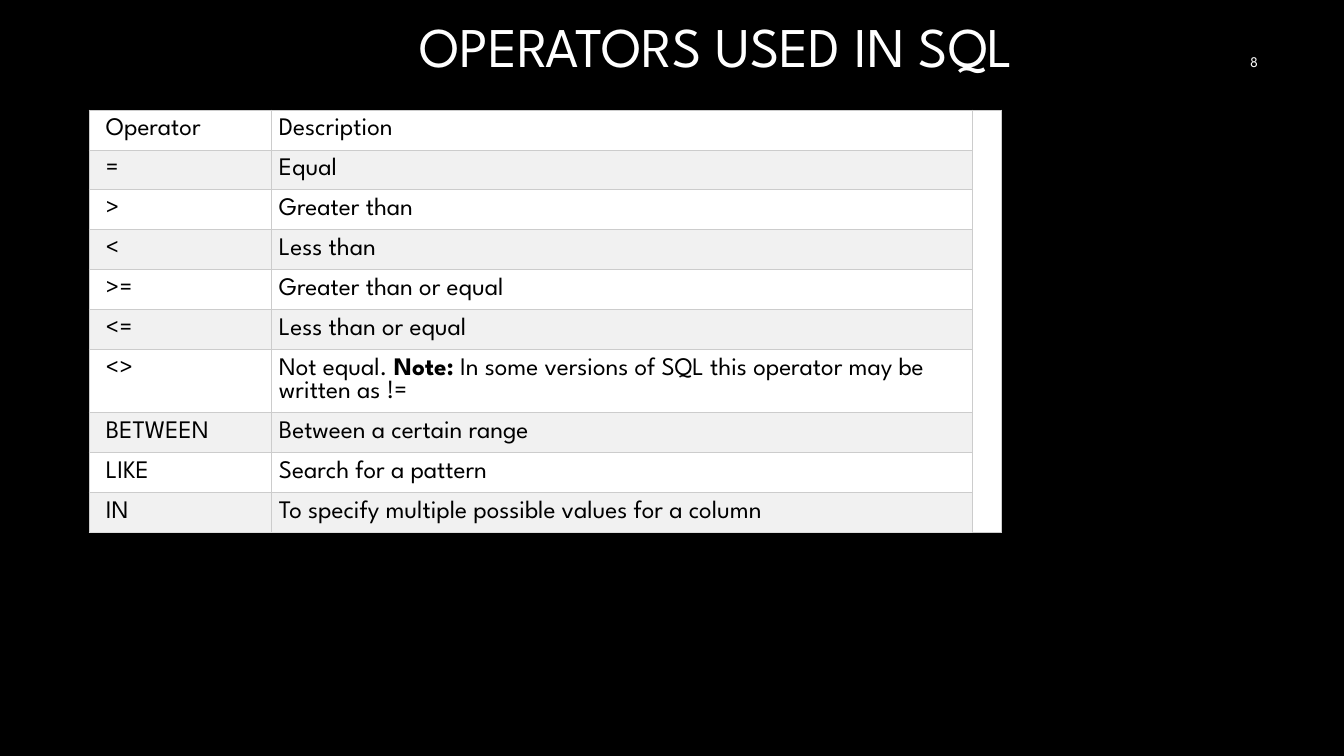
from dataclasses import dataclass

from lxml.etree import SubElement
from pptx import Presentation
from pptx.dml.color import RGBColor
from pptx.enum.text import MSO_ANCHOR, PP_ALIGN
from pptx.oxml.ns import qn
from pptx.util import Emu, Pt

SCALE = 914400 / 100.8


@dataclass(frozen=True)
class Theme:
    font: str = "League Spartan"
    back: str = "000000"
    light: str = "FFFFFF"
    dark: str = "000000"
    band: str = "F1F1F1"
    rule: str = "CCCCCC"
    base: str = "DDDDDD"
    head: float = 40
    body: float = 18
    small: float = 10.5


def px(n):
    return Emu(round(n * SCALE))


def write(frame, text, font, size, color, align=None, space=None, anchor=None):
    """Fill a text frame; parts between ** marks are bold."""
    frame.word_wrap = True
    if anchor is not None:
        frame.vertical_anchor = anchor
    para = frame.paragraphs[0]
    para.alignment = align
    para.line_spacing = space
    for i, part in enumerate(text.split("**")):
        run = para.add_run()
        run.text = part
        run.font.name = font
        run.font.size = Pt(size)
        run.font.bold = i % 2 == 1
        run.font.color.rgb = RGBColor.from_string(color)


class Deck:
    def __init__(self, theme):
        self.theme = theme
        self.show = Presentation()
        self.show.slide_width, self.show.slide_height = px(1344), px(756)
        self.slide = self.show.slides.add_slide(self.show.slide_layouts[5])
        fill = self.slide.background.fill
        fill.solid()
        fill.fore_color.rgb = RGBColor.from_string(theme.back)

    def title(self, text, x, y, w, h):
        box = self.slide.shapes.title
        box.left, box.top, box.width, box.height = map(px, (x, y, w, h))
        write(box.text_frame, text, self.theme.font, self.theme.head,
              self.theme.light, align=PP_ALIGN.RIGHT, space=0.9,
              anchor=MSO_ANCHOR.MIDDLE)

    def number(self, text, x, y, w, h):
        box = self.slide.shapes.add_textbox(*map(px, (x, y, w, h)))
        write(box.text_frame, text, self.theme.font, self.theme.small,
              self.theme.light, align=PP_ALIGN.RIGHT, anchor=MSO_ANCHOR.MIDDLE)

    def cell(self, cell, fill, left, pad, base):
        """Set the insets, borders and fill of one cell."""
        cell.margin_left = px(left)
        cell.margin_right = cell.margin_top = cell.margin_bottom = px(pad)
        props = cell._tc.get_or_add_tcPr()
        for side in "LRTB":
            line = SubElement(props, qn(f"a:ln{side}"), w=str(Pt(0.75)))
            paint = SubElement(line, qn("a:solidFill"))
            SubElement(paint, qn("a:srgbClr"),
                       val=base if side == "B" else self.theme.rule)
        cell.fill.solid()
        cell.fill.fore_color.rgb = RGBColor.from_string(fill)

    def table(self, rows, x, y, wides, highs):
        """Draw banded rows with an empty merged column at the right."""
        look = self.theme
        grid = self.slide.shapes.add_table(
            len(rows), len(wides), px(x), px(y),
            px(sum(wides)), px(sum(highs))).table
        grid.first_row = grid.horz_banding = False
        for col, wide in zip(grid.columns, wides):
            col.width = px(wide)
        for row, high in zip(grid.rows, highs):
            row.height = px(high)
        last = len(rows) - 1
        rail = len(wides) - 1
        for r, row in enumerate(rows):
            fill = look.band if r % 2 else look.light
            base = look.base if r == last else look.rule
            for c, text in enumerate(row):
                cell = grid.cell(r, c)
                self.cell(cell, fill, 8 if c else 17, 8, base)
                write(cell.text_frame, text, look.font, look.body, look.dark)
            self.cell(grid.cell(r, rail), look.light, 0, 0, look.rule)
        grid.cell(0, rail).merge(grid.cell(last, rail))


ROWS = [
    ("Operator", "Description"),
    ("=", "Equal"),
    (">", "Greater than"),
    ("<", "Less than"),
    (">=", "Greater than or equal"),
    ("<=", "Less than or equal"),
    ("<>", "Not equal. **Note:** In some versions of SQL this operator "
           "may be written as !="),
    ("BETWEEN", "Between a certain range"),
    ("LIKE", "Search for a pattern"),
    ("IN", "To specify multiple possible values for a column"),
]


def main():
    deck = Deck(Theme())
    deck.title("OPERATORS USED IN SQL", 75, 11, 948, 76)
    highs = [63 if key == "<>" else 40 for key, _ in ROWS]
    deck.table(ROWS, 89, 110, (182, 701, 29), highs)
    deck.number("8", 966, 42, 302, 40)
    deck.show.save("out.pptx")


if __name__ == "__main__":
    main()
